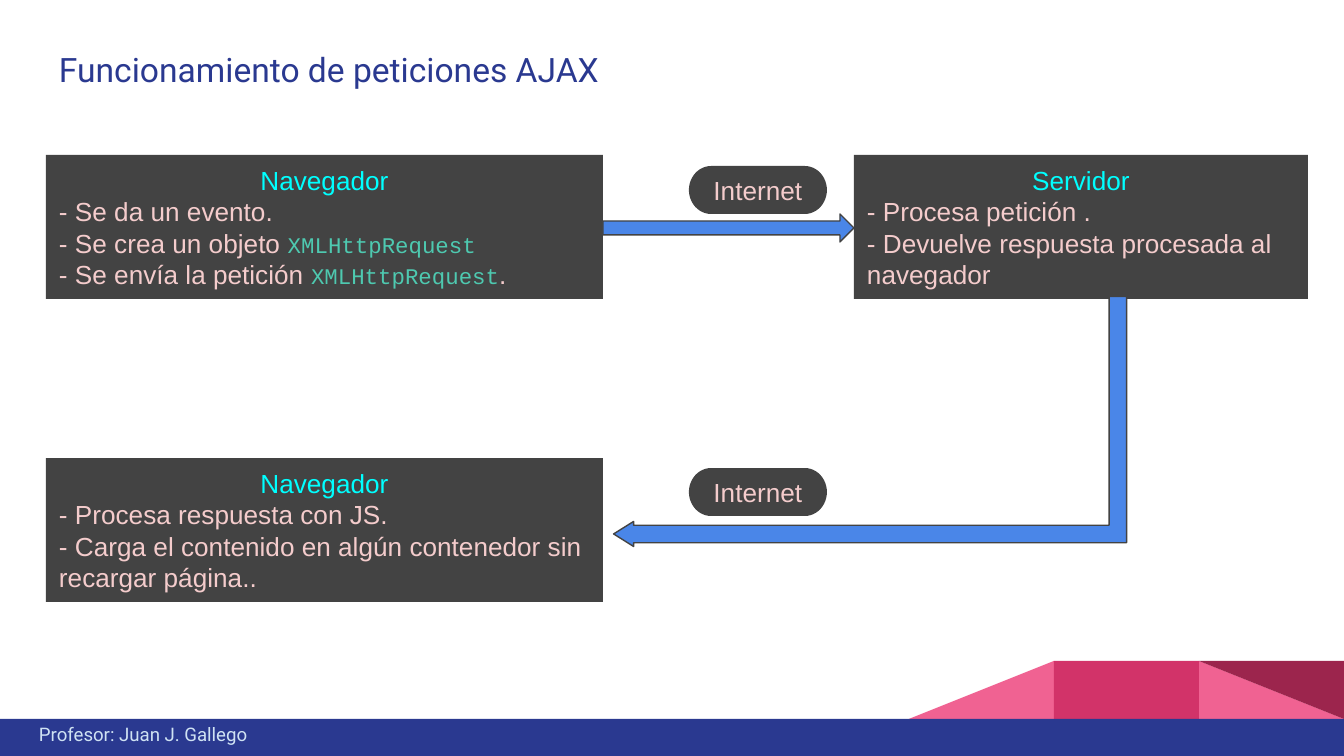
from typing import NamedTuple

from pptx import Presentation
from pptx import util as u
from pptx.dml.color import RGBColor
from pptx.enum import shapes, text

EMU_PER_PX = 914400 / 134.4
INSET = 13
NAVY, DARK, BLUE = "2A3990", "434343", "4A86E8"
PINK, CRIMSON, WINE = "F06292", "D23369", "9C254D"
CYAN, ROSE, TEAL, PALE = "00FFFF", "F4CCCC", "4EC9B0", "CFE2F3"
CODE = "XMLHttpRequest"
Kind = shapes.MSO_SHAPE


class Area(NamedTuple):
    left: int
    top: int
    width: int
    height: int


class Facet(NamedTuple):
    kind: Kind
    area: Area
    color: str
    rotation: int = 0
    flipped: bool = False


class Step(NamedTuple):
    area: Area
    actor: str
    actions: list[str]


FACETS = [
    Facet(Kind.RIGHT_TRIANGLE, Area(1199, 661, 145, 58), PINK),
    Facet(Kind.RIGHT_TRIANGLE, Area(909, 661, 145, 58), PINK, flipped=True),
    Facet(Kind.RECTANGLE, Area(1054, 661, 145, 58), CRIMSON),
    Facet(Kind.RIGHT_TRIANGLE, Area(1199, 661, 145, 58), WINE, rotation=180),
    Facet(Kind.RECTANGLE, Area(0, 719, 1344, 37), NAVY),
]

STEPS = [
    Step(Area(46, 155, 557, 144), "Navegador", [
        "- Se da un evento.",
        f"- Se crea un objeto {CODE}",
        f"- Se envía la petición {CODE}.",
    ]),
    Step(Area(854, 155, 454, 144), "Servidor", [
        "- Procesa petición .",
        "- Devuelve respuesta procesada al navegador",
    ]),
    Step(Area(46, 458, 557, 144), "Navegador", [
        "- Procesa respuesta con JS.",
        "- Carga el contenido en algún contenedor sin recargar página..",
    ]),
]

NETWORK_LABELS = [Area(689, top, 138, 48) for top in (166, 468)]


def px(length: int) -> int:
    return round(length * EMU_PER_PX)


def rgb(color: str) -> RGBColor:
    return RGBColor.from_string(color)


def set_font(font, size: int, name: str, color: str) -> None:
    font.size, font.name = u.Pt(size), name
    font.color.rgb = rgb(color)


def prepare_frame(frame, anchor) -> None:
    frame.word_wrap = True
    frame.auto_size = text.MSO_AUTO_SIZE.NONE
    frame.vertical_anchor = anchor
    frame.margin_left = frame.margin_right = px(INSET)
    frame.margin_top = frame.margin_bottom = px(INSET)


def draw_facet(slide, facet: Facet):
    shape = slide.shapes.add_shape(facet.kind, *map(px, facet.area))
    shape.shadow.inherit = False
    shape.fill.solid()
    shape.fill.fore_color.rgb = rgb(facet.color)
    shape.line.fill.background()
    shape.rotation = facet.rotation
    if facet.flipped:
        shape._element.spPr.xfrm.set("flipH", "1")
    return shape


def draw_arrow(slide, facet: Facet, adjustments: list[float]) -> None:
    arrow = draw_facet(slide, facet)
    for index, value in enumerate(adjustments):
        arrow.adjustments[index] = value
    arrow.line.color.rgb = rgb(DARK)
    arrow.line.width = u.Pt(0.75)


def write_action(paragraph, action: str) -> None:
    """Write one action, setting the class name in a monospaced font."""
    paragraph.alignment = text.PP_ALIGN.LEFT
    before, code, after = action.partition(CODE)
    if not code:
        paragraph.text = action
        set_font(paragraph.font, 14, "Arial", ROSE)
        return
    for part in filter(None, (before, code, after)):
        run = paragraph.add_run()
        run.text = part
        if part == CODE:
            set_font(run.font, 12, "Courier New", TEAL)
        else:
            set_font(run.font, 14, "Arial", ROSE)


def draw_label(slide, kind: Kind, area: Area, label: str, color: str):
    frame = draw_facet(slide, Facet(kind, area, DARK)).text_frame
    prepare_frame(frame, text.MSO_ANCHOR.MIDDLE)
    heading = frame.paragraphs[0]
    heading.text = label
    heading.alignment = text.PP_ALIGN.CENTER
    set_font(heading.font, 14, "Arial", color)
    return frame


def draw_step(slide, step: Step) -> None:
    frame = draw_label(slide, Kind.RECTANGLE, step.area, step.actor, CYAN)
    for action in step.actions:
        write_action(frame.add_paragraph(), action)


def write_line(shape, line: str, size: int, color: str):
    prepare_frame(shape.text_frame, text.MSO_ANCHOR.TOP)
    paragraph = shape.text_frame.paragraphs[0]
    paragraph.text = line
    paragraph.alignment = text.PP_ALIGN.LEFT
    set_font(paragraph.font, size, "Roboto", color)
    return paragraph


def main() -> None:
    deck = Presentation()
    deck.slide_width, deck.slide_height = px(1344), px(756)
    slide = deck.slides.add_slide(deck.slide_layouts[5])

    for facet in FACETS:
        draw_facet(slide, facet)
    footer = slide.shapes.add_textbox(*map(px, Area(26, 710, 535, 35)))
    write_line(footer, "Profesor: Juan J. Gallego", 10, PALE)

    title = slide.shapes.title
    title.left, title.top, title.width, title.height = map(px, Area(46, 30, 1298, 80))
    heading = write_line(title, "Funcionamiento de peticiones AJAX", 18, NAVY)
    heading.line_spacing = 1.15

    for step in STEPS:
        draw_step(slide, step)
    for area in NETWORK_LABELS:
        draw_label(slide, Kind.FLOWCHART_TERMINATOR, area, "Internet", ROSE)

    request = Facet(Kind.RIGHT_ARROW, Area(603, 214, 251, 28), BLUE)
    draw_arrow(slide, request, [0.5, 0.5])
    response = Facet(Kind.BENT_UP_ARROW, Area(745, 165, 250, 513), BLUE, 270, True)
    draw_arrow(slide, response, [0.07, 0.05, 0.08])

    deck.save("out.pptx")


if __name__ == "__main__":
    main()
